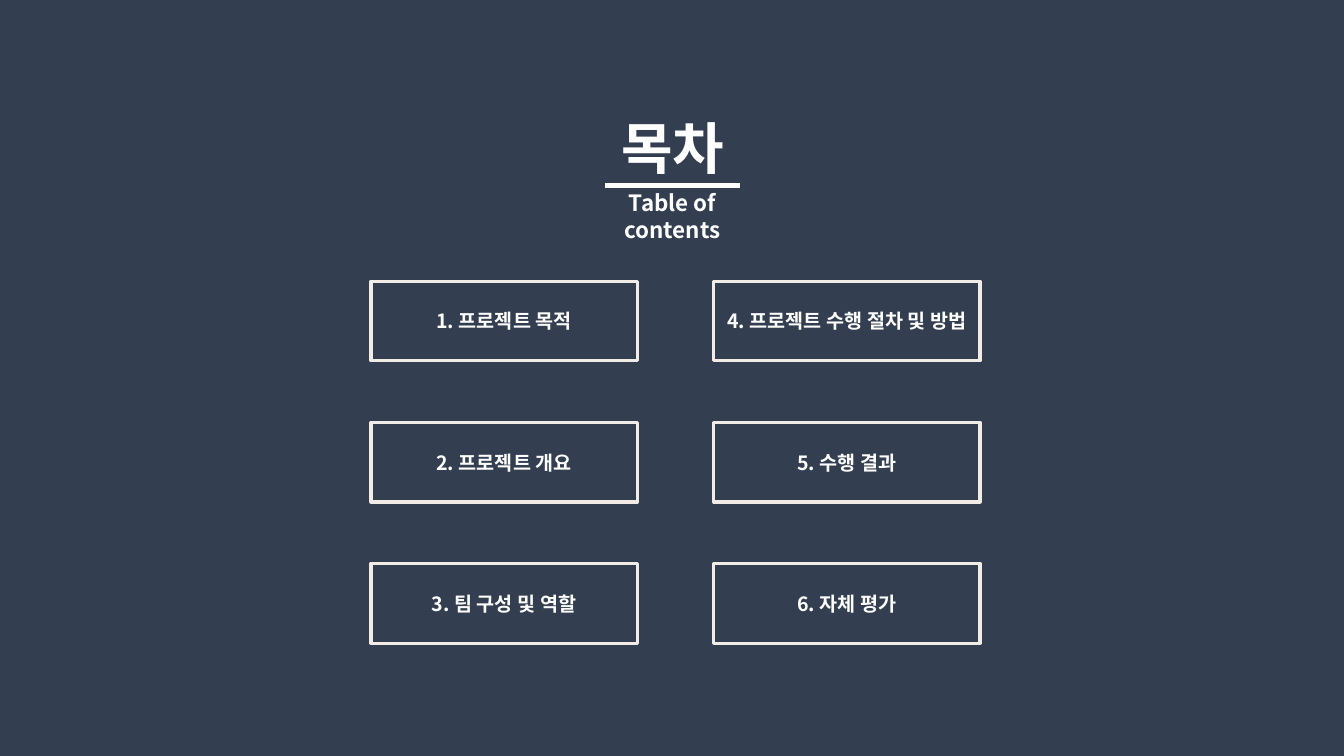
from lxml.etree import SubElement
from pptx import Presentation
from pptx.dml.color import RGBColor
from pptx.enum.shapes import MSO_CONNECTOR as CONNECTOR, MSO_SHAPE as SHAPE
from pptx.enum.text import MSO_ANCHOR as ANCHOR, PP_ALIGN as ALIGN
from pptx.oxml.ns import qn
from pptx.util import Inches, Pt

FONT = "Noto Sans CJK KR"
BACKGROUND, WHITE, CREAM = "333F50", "FFFFFF", "F1ECE6"
HEADINGS = [
    ("목차", 40, (6.01, 1.08, 1.32, 0.77)),
    ("Table of contents", 16, (6.01, 1.83, 1.32, 0.64)),
]
RULE = (6, 1.84, 7.34, 1.84)
CONTENTS = [
    ["1. 프로젝트 목적", "2. 프로젝트 개요", "3. 팀 구성 및 역할"],
    ["4. 프로젝트 수행 절차 및 방법", "5. 수행 결과", "6. 자체 평가"],
]
GRID_LEFT, GRID_TOP = 3.68, 2.79
COLUMN_STEP, ROW_STEP = 3.4, 1.4
BOX_WIDTH, BOX_HEIGHT = 2.64, 0.79


def color(value):
    return RGBColor.from_string(value)


def write(shape, text, size, anchor):
    frame = shape.text_frame
    frame.word_wrap = True
    frame.vertical_anchor = anchor
    frame.text = text
    paragraph = frame.paragraphs[0]
    paragraph.alignment = ALIGN.CENTER
    run = paragraph.runs[0]
    run.font.size = Pt(size)
    run.font.bold = True
    run.font.color.rgb = color(WHITE)
    run.font.name = FONT
    SubElement(run.font._element, qn("a:ea"), typeface=FONT)


def add_rule(slide, ends):
    rule = slide.shapes.add_connector(CONNECTOR.STRAIGHT, *map(Inches, ends))
    rule.line.color.rgb = color(WHITE)
    rule.line.width = Pt(3)
    SubElement(rule._element.spPr, qn("a:effectLst"))


def add_box(slide, text, left, top):
    place = map(Inches, (left, top, BOX_WIDTH, BOX_HEIGHT))
    box = slide.shapes.add_shape(SHAPE.RECTANGLE, *place)
    box.shadow.inherit = False
    box.fill.background()
    box.line.color.rgb = color(CREAM)
    box.line.width = Pt(2.25)
    write(box, text, 14, ANCHOR.MIDDLE)


def main():
    presentation = Presentation()
    presentation.slide_width = Inches(13.33)
    presentation.slide_height = Inches(7.5)
    slide = presentation.slides.add_slide(presentation.slide_layouts[6])
    slide.background.fill.solid()
    slide.background.fill.fore_color.rgb = color(BACKGROUND)

    for text, size, place in HEADINGS:
        write(slide.shapes.add_textbox(*map(Inches, place)), text, size, ANCHOR.TOP)
    add_rule(slide, RULE)
    for column, entries in enumerate(CONTENTS):
        for row, text in enumerate(entries):
            add_box(slide, text, GRID_LEFT + column * COLUMN_STEP, GRID_TOP + row * ROW_STEP)

    presentation.save("out.pptx")


if __name__ == "__main__":
    main()
